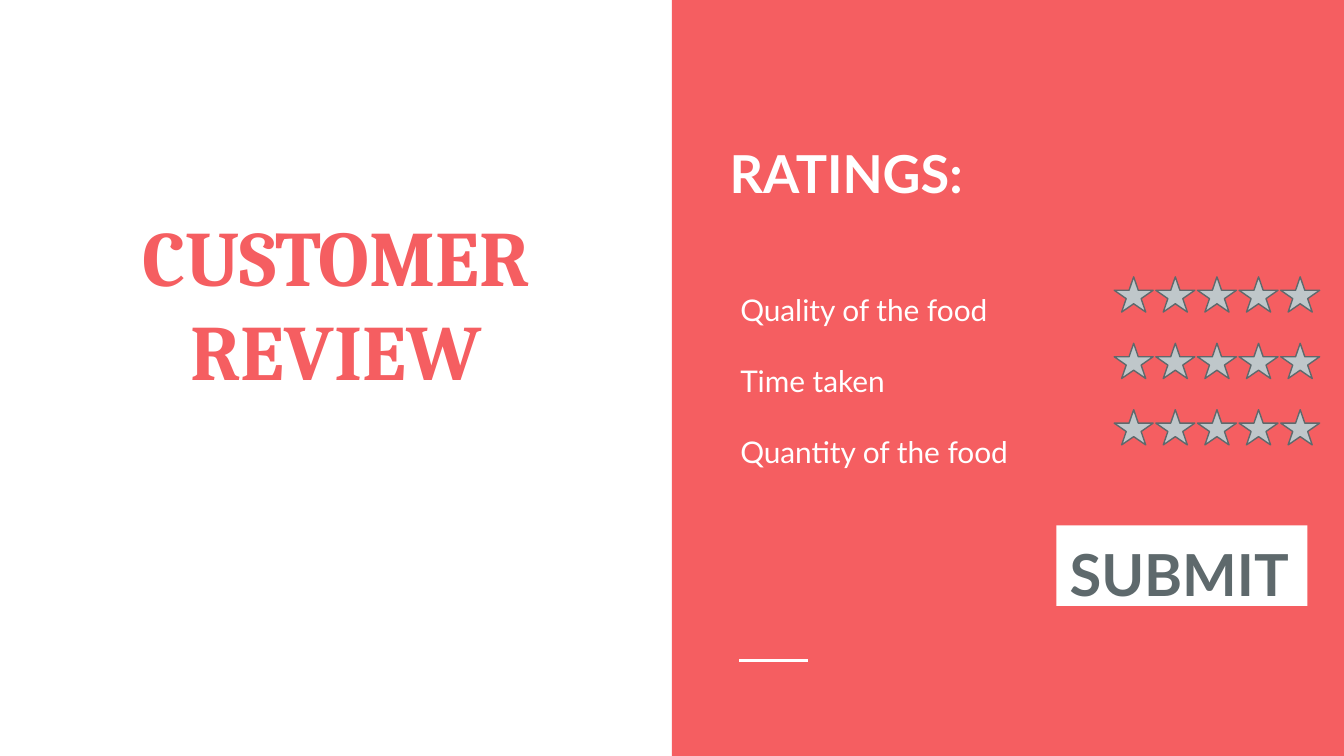
import pptx
import pptx.dml.color
import pptx.enum.shapes
import pptx.enum.text
import pptx.oxml
import pptx.util

Pt = pptx.util.Pt
RGBColor = pptx.dml.color.RGBColor
Shape = pptx.enum.shapes.MSO_SHAPE
Anchor = pptx.enum.text.MSO_ANCHOR
Align = pptx.enum.text.PP_ALIGN

CORAL = RGBColor(0xF5, 0x5E, 0x61)
WHITE = RGBColor(0xFF, 0xFF, 0xFF)
SILVER = RGBColor(0xBF, 0xC7, 0xCA)
SLATE = RGBColor(0x5E, 0x69, 0x6C)

TITLE = "CUSTOMER REVIEW"
HEADING = "RATINGS:"
CRITERIA = ["Quality of the food", "Time taken", "Quantity of the food"]
BUTTON = "SUBMIT"

# Lengths in points
SLIDE_WIDTH, SLIDE_HEIGHT = 720, 405
STARS_PER_ROW = 5
STAR_WIDTH, STAR_HEIGHT = 20.9, 18.9
STARS_LEFT, STARS_TOP = 596.9, 148.3
STAR_PITCH, ROW_PITCH = 22.3, 35.6


def add_shape(slide, kind, box, fill, line=None):
    shape = slide.shapes.add_shape(kind, *map(Pt, box))
    shape.shadow.inherit = False
    shape.fill.solid()
    shape.fill.fore_color.rgb = fill
    if line is None:
        shape.line.fill.background()
    else:
        shape.line.color.rgb = line
        shape.line.width = Pt(0.75)
    return shape


def write_text(shape, *lines, size, color, font="Lato", bold=False,
               align=Align.LEFT, anchor=Anchor.TOP, line_spacing=1.0, gap=0):
    """Fill a shape with one paragraph per line, with gap points after each."""
    frame = shape.text_frame
    frame.word_wrap = True
    frame.vertical_anchor = anchor
    frame.margin_left = frame.margin_right = Pt(7.2)
    frame.margin_top = frame.margin_bottom = Pt(7.2)
    for index, line in enumerate(lines):
        paragraph = frame.add_paragraph() if index else frame.paragraphs[0]
        paragraph.alignment = align
        paragraph.line_spacing = line_spacing
        paragraph.space_before = Pt(gap if index else 0)
        paragraph.space_after = Pt(gap if index == len(lines) - 1 else 0)
        run = paragraph.add_run()
        run.text = line
        run.font.name = font
        run.font.size = Pt(size)
        run.font.bold = bold
        run.font.color.rgb = color


def add_text(slide, box, *lines, **style):
    write_text(slide.shapes.add_textbox(*map(Pt, box)), *lines, **style)


def add_rule(slide, left, right, top):
    rule = slide.shapes.add_connector(
        pptx.enum.shapes.MSO_CONNECTOR.STRAIGHT, Pt(left), Pt(top), Pt(right), Pt(top))
    rule.line.color.rgb = WHITE
    rule.line.width = Pt(1.5)
    properties = rule.element.spPr
    properties.append(properties.makeelement(pptx.oxml.ns.qn("a:effectLst"), {}))


def main():
    presentation = pptx.Presentation()
    presentation.slide_width = Pt(SLIDE_WIDTH)
    presentation.slide_height = Pt(SLIDE_HEIGHT)
    slide = presentation.slides.add_slide(presentation.slide_layouts[6])

    half = SLIDE_WIDTH / 2
    add_shape(slide, Shape.RECTANGLE, (half, 0, half, SLIDE_HEIGHT), CORAL)
    add_rule(slide, 396, 432.8, 354)

    add_text(slide, (20.9, 87.1, 318.2, 132.5), TITLE, size=42, color=CORAL,
             font="Cambria", bold=True, align=Align.CENTER, anchor=Anchor.BOTTOM)
    add_text(slide, (389.5, 56.9, 302.4, 290.9), *CRITERIA, size=16, color=WHITE,
             anchor=Anchor.MIDDLE, line_spacing=1.15, gap=16)

    for row in range(len(CRITERIA)):
        for column in range(STARS_PER_ROW):
            box = (STARS_LEFT + column * STAR_PITCH, STARS_TOP + row * ROW_PITCH,
                   STAR_WIDTH, STAR_HEIGHT)
            add_shape(slide, Shape.STAR_5_POINT, box, SILVER, SLATE)

    add_text(slide, (383.8, 68.4, 167, 39.6), HEADING, size=28, color=WHITE, bold=True)
    button = add_shape(slide, Shape.RECTANGLE, (565.9, 281.5, 134.6, 43.2), WHITE)
    write_text(button, BUTTON, size=31, color=SLATE, bold=True)

    presentation.save("out.pptx")


if __name__ == "__main__":
    main()
